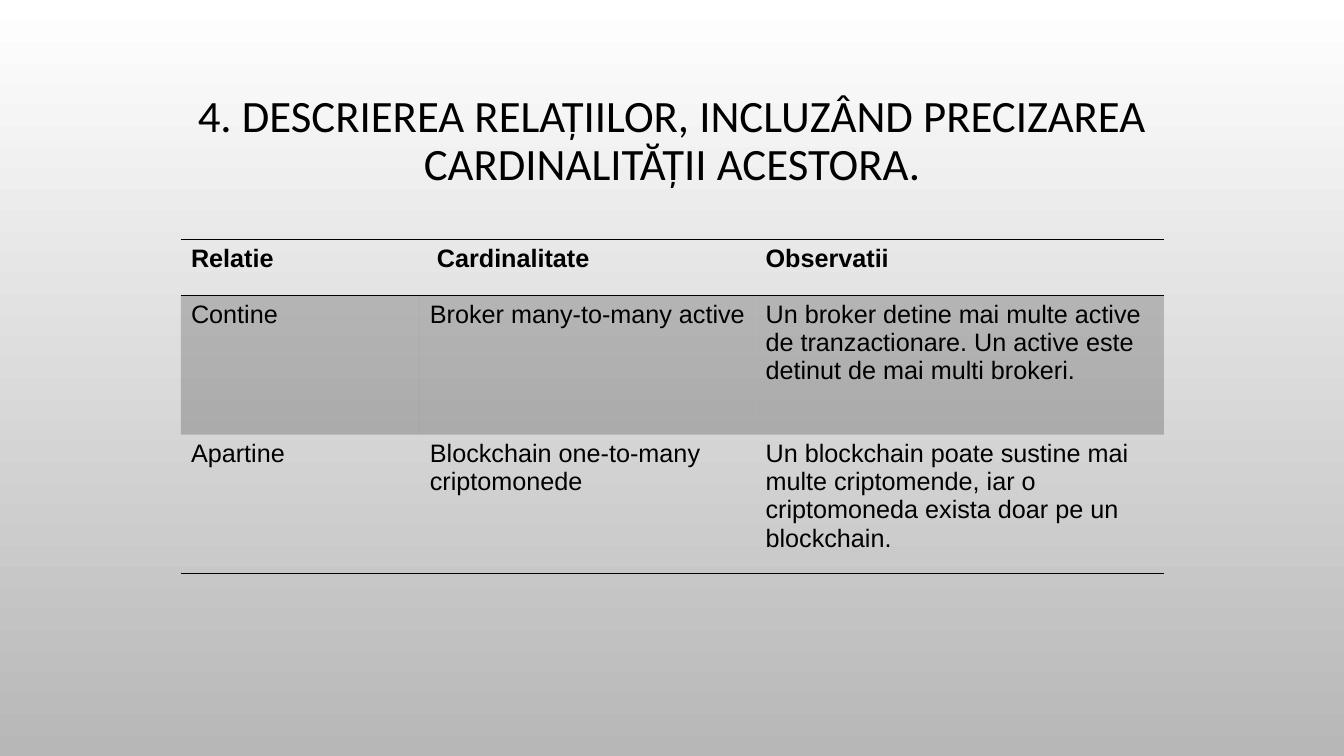
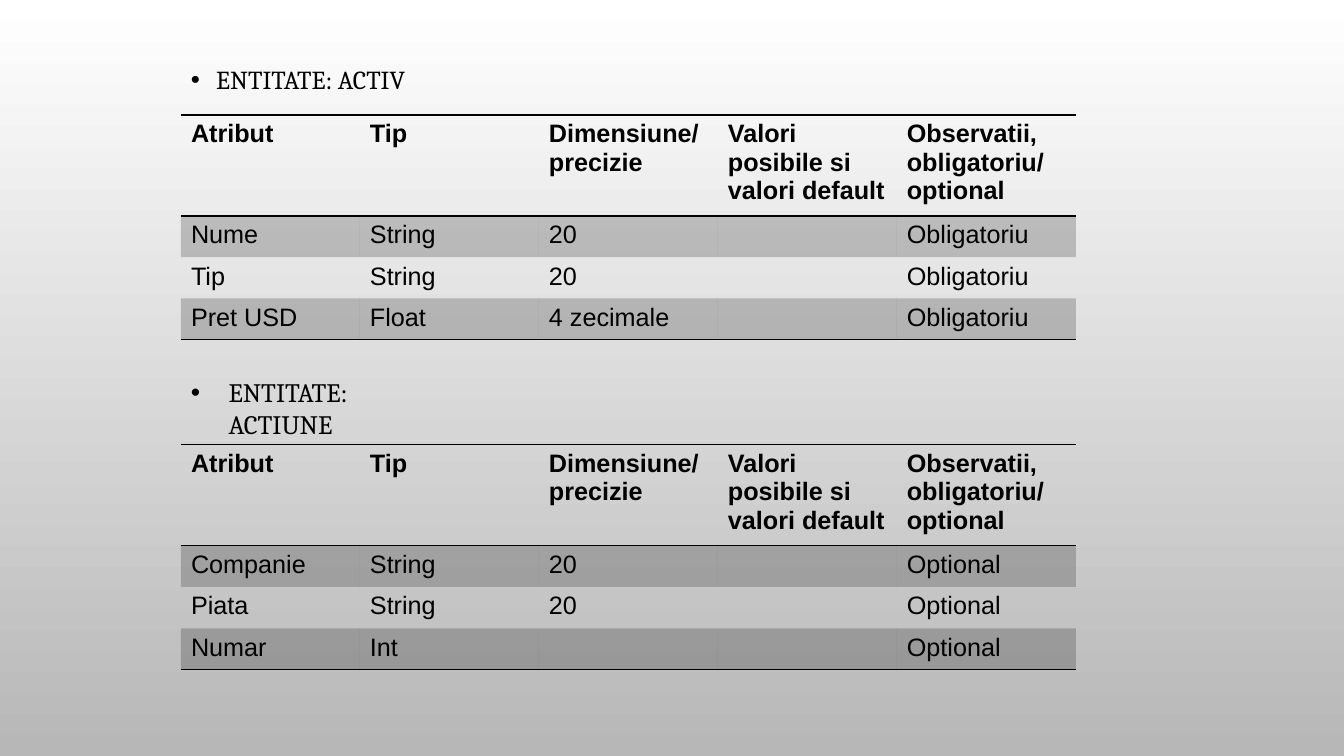
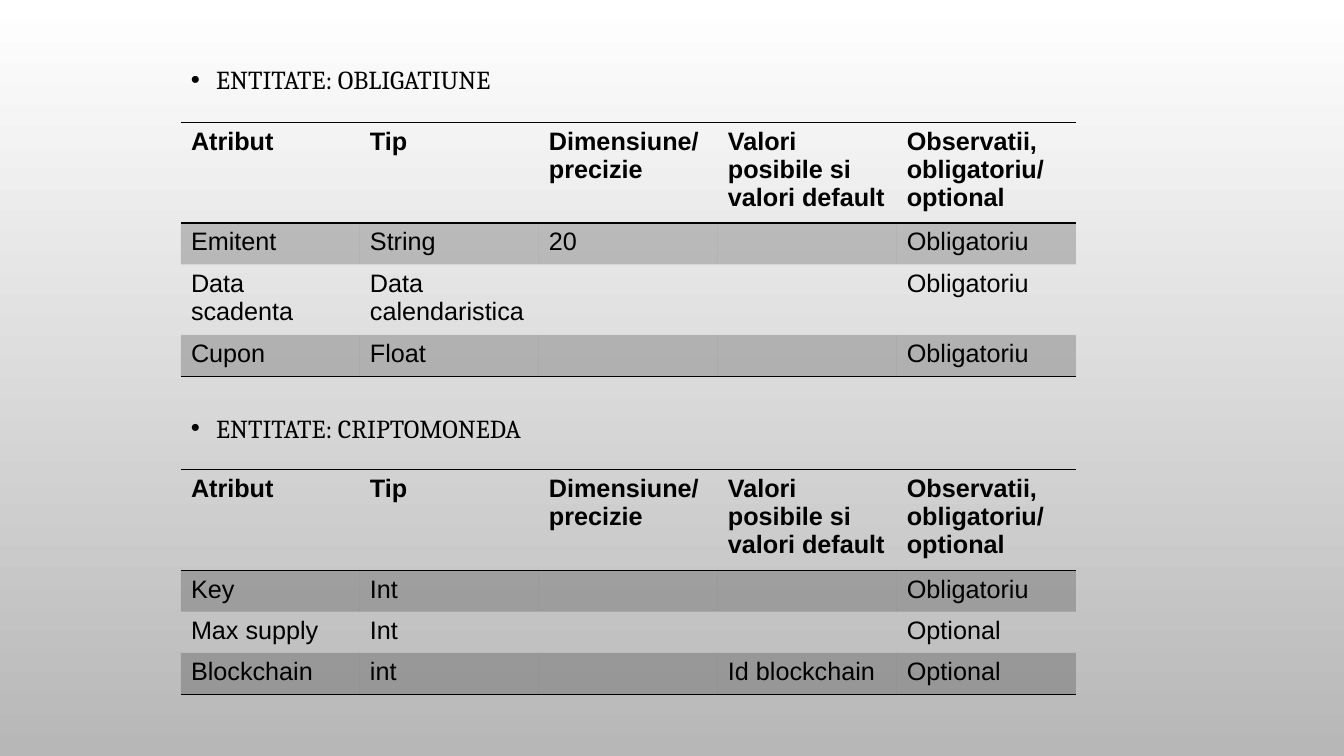
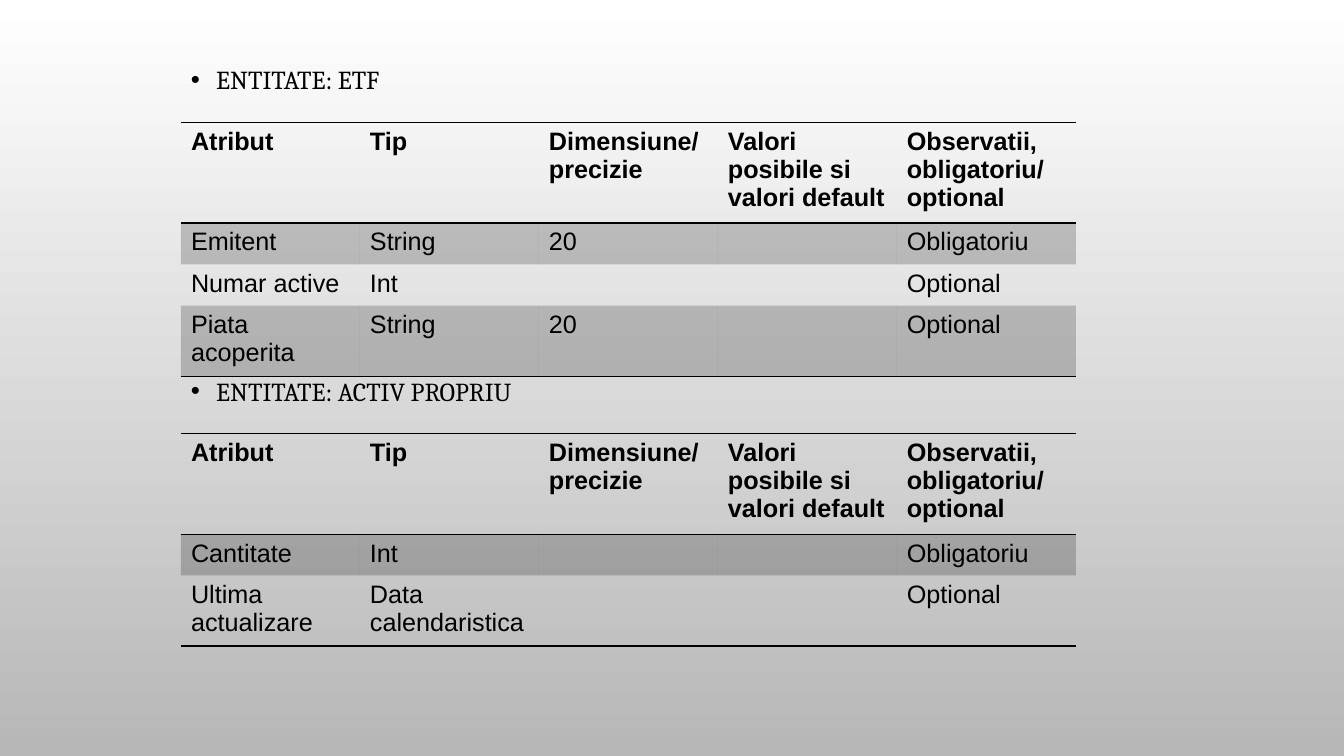
from dataclasses import dataclass

import lxml.etree
import pptx
import pptx.dml.color
import pptx.enum.text
import pptx.oxml.ns
import pptx.util

Cm = pptx.util.Cm
Pt = pptx.util.Pt
qn = pptx.oxml.ns.qn


@dataclass(frozen=True)
class Theme:
    ink: str = "000000"
    background_top: str = "FFFFFF"
    background_bottom: str = "B7B7B7"
    band_alpha: int = 20000
    border_points: float = 1
    title_font: str = "Calibri"
    heading_font: str = "Cambria"
    table_font: str = "Arial"
    title_size: float = 32
    heading_size: float = 18.5
    table_size: float = 18


THEME = Theme()

# Shared grid, in centimetres
LEFT = 4.56
CONTENT_WIDTH = 24.77
HEADING_HEIGHT = 1.14
HEADING_TOP = 1.4
ENTITY_COLUMNS = [4.51] * 5
ENTITY_HEADER_HEIGHT = 2.39
ENTITY_ROW_HEIGHT = 1.04

ENTITY_HEADER = ["Atribut", "Tip", "Dimensiune/ precizie",
                 "Valori posibile si valori default",
                 "Observatii, obligatoriu/ optional"]

RELATIONS = [
    ["Relatie", " Cardinalitate", "Observatii"],
    ["Contine", "Broker many-to-many active",
     "Un broker detine mai multe active de tranzactionare. "
     "Un active este detinut de mai multi brokeri."],
    ["Apartine", "Blockchain one-to-many criptomonede",
     "Un blockchain poate sustine mai multe criptomende, "
     "iar o criptomoneda exista doar pe un blockchain."],
]


@dataclass(frozen=True)
class Entity:
    name: str
    rows: list
    heading_top: float
    table_top: float
    heading_width: float = CONTENT_WIDTH
    heading_size: float = THEME.heading_size
    heading_indent: float = 0.64
    heading_spacing: float = 1.1
    header_height: float = ENTITY_HEADER_HEIGHT


ENTITY_SLIDES = [
    [
        Entity("ACTIV", [
            ["Nume", "String", "20", "", "Obligatoriu"],
            ["Tip", "String", "20", "", "Obligatoriu"],
            ["Pret USD", "Float", "4 zecimale", "", "Obligatoriu"],
        ], HEADING_TOP, 2.9),
        Entity("ACTIUNE", [
            ["Companie", "String", "20", "", "Optional"],
            ["Piata", "String", "20", "", "Optional"],
            ["Numar", "Int", "", "", "Optional"],
        ], 9.35, 11.21, heading_width=6.65, heading_size=19,
            heading_indent=0.95, heading_spacing=1.0, header_height=2.53),
    ],
    [
        Entity("OBLIGATIUNE", [
            ["Emitent", "String", "20", "", "Obligatoriu"],
            ["Data scadenta", "Data calendaristica", "", "", "Obligatoriu"],
            ["Cupon", "Float", "", "", "Obligatoriu"],
        ], HEADING_TOP, 3.08),
        Entity("CRIPTOMONEDA", [
            ["Key", "Int", "", "", "Obligatoriu"],
            ["Max supply", "Int", "", "", "Optional"],
            ["Blockchain", "int", "", "Id blockchain", "Optional"],
        ], 10.19, 11.83),
    ],
    [
        Entity("ETF", [
            ["Emitent", "String", "20", "", "Obligatoriu"],
            ["Numar active", "Int", "", "", "Optional"],
            ["Piata acoperita", "String", "20", "", "Optional"],
        ], HEADING_TOP, 3.08),
        Entity("ACTIV PROPRIU", [
            ["Cantitate", "Int", "", "", "Obligatoriu"],
            ["Ultima actualizare", "Data calendaristica", "", "", "Optional"],
        ], 9.25, 10.92),
    ],
]


def rgb(color):
    return pptx.dml.color.RGBColor.from_string(color)


def set_font(paragraph, name, size, bold=False):
    font = paragraph.font
    font.name = name
    font.size = Pt(size)
    font.bold = bold
    font.color.rgb = rgb(THEME.ink)


def set_background(master):
    fill = master.background.fill
    fill.gradient()
    fill.gradient_angle = 270
    colors = (THEME.background_top, THEME.background_bottom)
    for stop, color, position in zip(fill.gradient_stops, colors, (0, 1)):
        stop.color.rgb = rgb(color)
        stop.position = position


def add_text(slide, text, left, top, width, height):
    """Add a wrapping text box and return its frame and paragraph."""
    shape = slide.shapes.add_textbox(Cm(left), Cm(top), Cm(width), Cm(height))
    frame = shape.text_frame
    frame.word_wrap = True
    paragraph = frame.paragraphs[0]
    paragraph.text = text
    return frame, paragraph


def add_title(slide, text, left, top, width, height):
    frame, paragraph = add_text(slide, text, left, top, width, height)
    frame.vertical_anchor = pptx.enum.text.MSO_ANCHOR.MIDDLE
    paragraph.alignment = pptx.enum.text.PP_ALIGN.CENTER
    paragraph.line_spacing = 0.9
    set_font(paragraph, THEME.title_font, THEME.title_size)


def add_bullet(paragraph, indent):
    properties = paragraph._p.get_or_add_pPr()
    properties.set("marL", str(Cm(indent)))
    properties.set("indent", str(-Cm(indent)))
    bullet_font = lxml.etree.Element(qn("a:buFont"), typeface="Arial")
    bullet = lxml.etree.Element(qn("a:buChar"), char="•")
    # Bullet elements stand before the default run properties
    defaults = properties.find(qn("a:defRPr"))
    defaults.addprevious(bullet_font)
    defaults.addprevious(bullet)


def add_heading(slide, entity):
    _, paragraph = add_text(slide, f"ENTITATE: {entity.name}", LEFT,
                            entity.heading_top, entity.heading_width,
                            HEADING_HEIGHT)
    paragraph.line_spacing = entity.heading_spacing
    set_font(paragraph, THEME.heading_font, entity.heading_size)
    add_bullet(paragraph, entity.heading_indent)


def set_borders(cell, top, bottom):
    """Rule the chosen horizontal sides and clear the others."""
    properties = cell._tc.get_or_add_tcPr()
    sides = (("lnL", False), ("lnR", False), ("lnT", top), ("lnB", bottom))
    for position, (side, ruled) in enumerate(sides):
        width = Pt(THEME.border_points) if ruled else 0
        line = lxml.etree.Element(qn(f"a:{side}"), w=str(width))
        if ruled:
            fill = lxml.etree.SubElement(line, qn("a:solidFill"))
            lxml.etree.SubElement(fill, qn("a:srgbClr"), val=THEME.ink)
        else:
            lxml.etree.SubElement(line, qn("a:noFill"))
        properties.insert(position, line)


def fill_cell(cell, banded):
    if not banded:
        cell.fill.background()
        return
    cell.fill.solid()
    cell.fill.fore_color.rgb = rgb(THEME.ink)
    color = cell._tc.tcPr.find(qn("a:solidFill")).find(qn("a:srgbClr"))
    lxml.etree.SubElement(color, qn("a:alpha"), val=str(THEME.band_alpha))


def add_ruled_table(slide, rows, left, top, widths, heights):
    frame = slide.shapes.add_table(len(rows), len(widths), Cm(left), Cm(top),
                                   Cm(sum(widths)), Cm(sum(heights)))
    table = frame.table
    table.first_row = False
    table.horz_banding = False
    for column, width in zip(table.columns, widths):
        column.width = Cm(width)
    for row_index, (texts, height) in enumerate(zip(rows, heights)):
        table.rows[row_index].height = Cm(height)
        for column_index, text in enumerate(texts):
            cell = table.cell(row_index, column_index)
            cell.text = text
            set_font(cell.text_frame.paragraphs[0], THEME.table_font,
                     THEME.table_size, bold=row_index == 0)
            fill_cell(cell, banded=row_index % 2 == 1)
            set_borders(cell, top=row_index <= 1,
                        bottom=row_index in (0, len(rows) - 1))


def build_relations_slide(slide):
    add_title(slide, "4. DESCRIEREA RELAȚIILOR, INCLUZÂND PRECIZAREA "
              "CARDINALITĂȚII ACESTORA.", LEFT, 1.8, CONTENT_WIDTH, 3.56)
    add_ruled_table(slide, RELATIONS, LEFT, 6.03,
                    [6.02, 8.46, 10.29], [1.42, 3.5, 3.5])


def add_entity(slide, entity):
    add_heading(slide, entity)
    heights = [entity.header_height] + [ENTITY_ROW_HEIGHT] * len(entity.rows)
    add_ruled_table(slide, [ENTITY_HEADER] + entity.rows, LEFT,
                    entity.table_top, ENTITY_COLUMNS, heights)


def main():
    presentation = pptx.Presentation()
    presentation.slide_width = Cm(33.87)
    presentation.slide_height = Cm(19.05)
    set_background(presentation.slide_master)
    blank = presentation.slide_layouts[6]

    build_relations_slide(presentation.slides.add_slide(blank))
    for entities in ENTITY_SLIDES:
        slide = presentation.slides.add_slide(blank)
        for entity in entities:
            add_entity(slide, entity)

    presentation.save("out.pptx")


if __name__ == "__main__":
    main()
